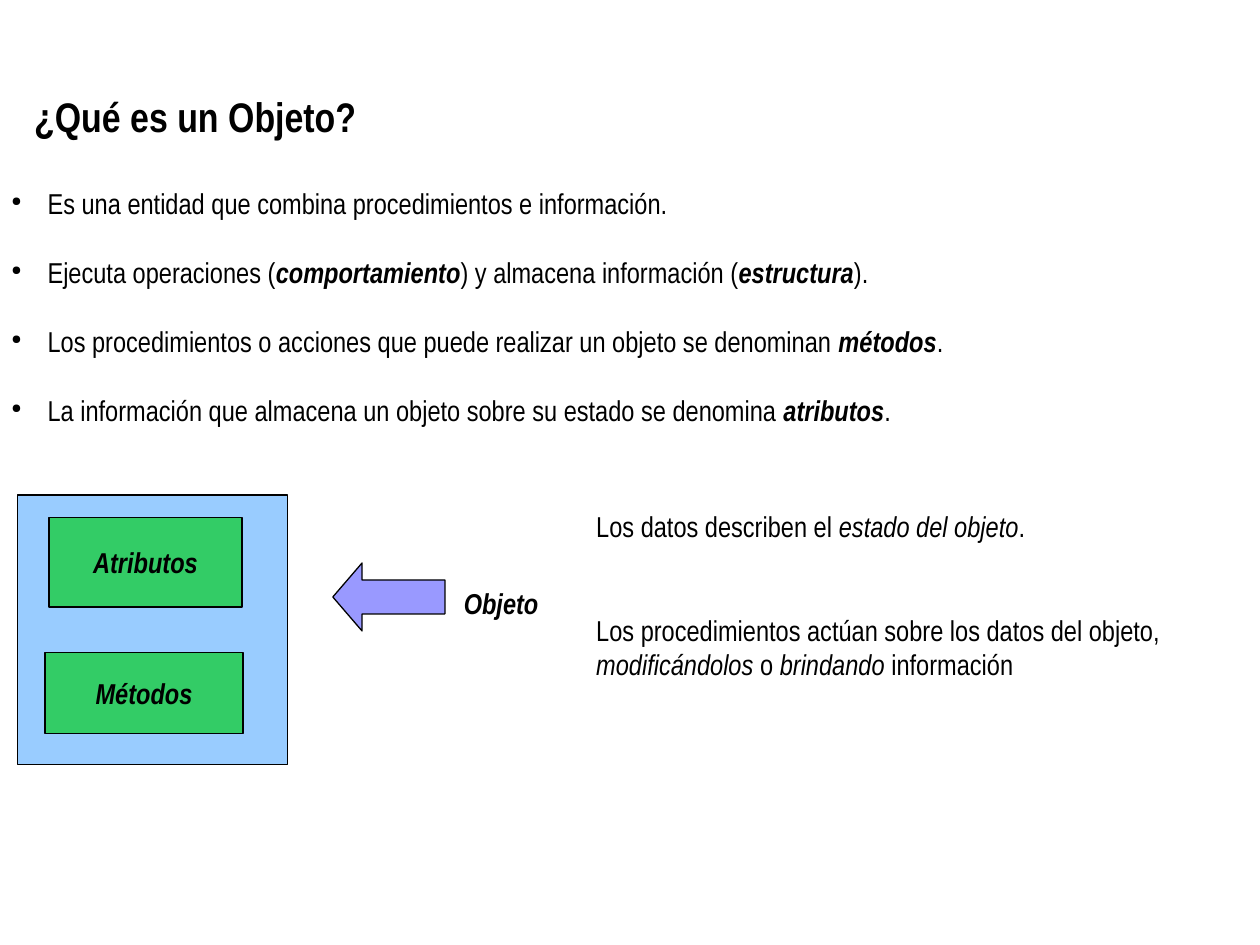
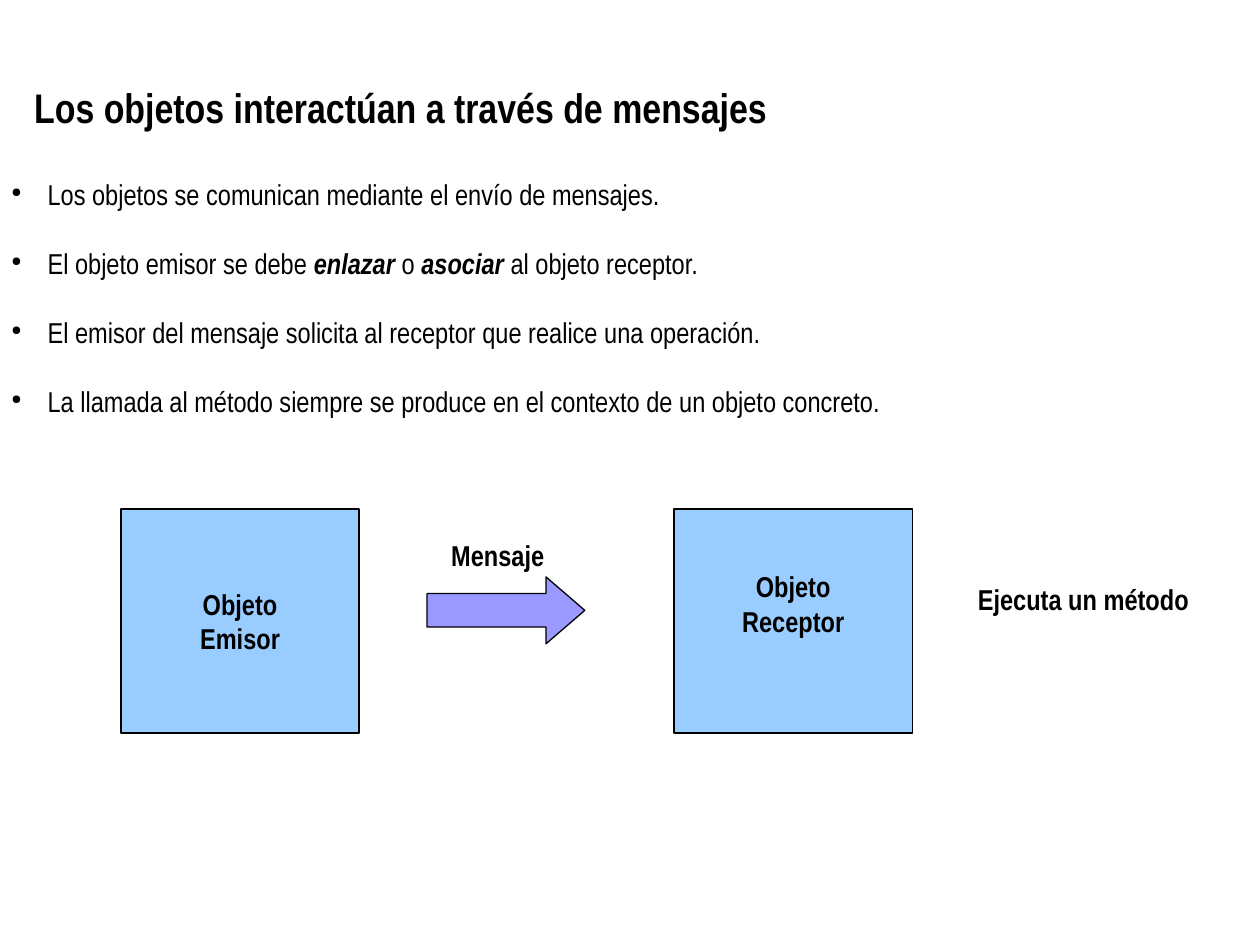
from lxml import etree
from pptx import Presentation
from pptx.dml.color import RGBColor
from pptx.enum.shapes import MSO_SHAPE
from pptx.enum.text import MSO_ANCHOR, PP_ALIGN
from pptx.oxml.ns import qn
from pptx.util import Cm, Pt

BLACK = RGBColor(0x00, 0x00, 0x00)
SKY = RGBColor(0x99, 0xCC, 0xFF)
GREEN = RGBColor(0x33, 0xCC, 0x66)
VIOLET = RGBColor(0x99, 0x99, 0xFF)
RECT, LEFT_ARROW, RIGHT_ARROW = MSO_SHAPE.RECTANGLE, MSO_SHAPE.LEFT_ARROW, MSO_SHAPE.RIGHT_ARROW
LEFT, CENTER = PP_ALIGN.LEFT, PP_ALIGN.CENTER
TOP, MIDDLE = MSO_ANCHOR.TOP, MSO_ANCHOR.MIDDLE
FONT = "Arial Narrow"
TITLE_SIZE, BODY_SIZE, LINE_PITCH = 23.6, 16.4, 19.7
LABEL_H = 0.89


def add_bullet(p):
    """Give a paragraph a small round bullet with a hanging indent."""
    pPr = p._p.get_or_add_pPr()
    pPr.set("marL", str(Cm(0.73)))
    pPr.set("indent", str(-Cm(0.73)))
    color = etree.SubElement(pPr, qn("a:buClr"))
    etree.SubElement(color, qn("a:srgbClr"), val=str(BLACK))
    etree.SubElement(pPr, qn("a:buSzPct"), val="45000")
    etree.SubElement(pPr, qn("a:buChar"), char="●")


def write(sp, paragraphs, size=BODY_SIZE, bold=False, italic=False, strong=True,
          align=LEFT, anchor=TOP, gap_lines=0, bullets=False, bottom=0.1):
    """Write paragraphs into a shape; parts between asterisks are emphasised."""
    tf = sp.text_frame
    tf.word_wrap = True
    tf.vertical_anchor = anchor
    tf.margin_left = tf.margin_right = Cm(0.23)
    tf.margin_top, tf.margin_bottom = Cm(0.1), Cm(bottom)
    for i, text in enumerate(paragraphs):
        p = tf.paragraphs[0] if i == 0 else tf.add_paragraph()
        p.alignment = align
        if i:
            p.space_before = Pt(gap_lines * LINE_PITCH)
        if bullets:
            add_bullet(p)
        for j, part in enumerate(text.split("*")):
            emphasised = j % 2 == 1
            r = p.add_run()
            r.text = part
            r.font.name, r.font.size = FONT, Pt(size)
            r.font.bold = bold or (emphasised and strong)
            r.font.italic = italic or emphasised
            r.font.color.rgb = BLACK


def add_text(s, x, y, w, h, paragraphs, **fmt):
    """Add a text box."""
    write(s.shapes.add_textbox(Cm(x), Cm(y), Cm(w), Cm(h)), paragraphs, **fmt)


def add_block(s, kind, x, y, w, h, fill):
    """Add a filled shape with a hairline outline."""
    sp = s.shapes.add_shape(kind, Cm(x), Cm(y), Cm(w), Cm(h))
    sp.shadow.inherit = False
    sp.fill.solid()
    sp.fill.fore_color.rgb = fill
    sp.line.color.rgb = BLACK
    sp.line.width = Pt(0)
    return sp


def add_arrow(s, kind, x, y, w, h, head):
    """Add a block arrow whose head length is a share of its height."""
    sp = add_block(s, kind, x, y, w, h, VIOLET)
    sp.adjustments[0], sp.adjustments[1] = 0.5, head


def add_header(s, y, title, points):
    """Add the slide title and the bullet list below it."""
    add_text(s, 0.46, y, 24.49, 1.19, [title], size=TITLE_SIZE, bold=True)
    add_text(s, 0, y + 1.91, 25.4, 4.93, points, gap_lines=1, bullets=True)


def draw_object(s, x, y):
    """Draw an object holding attributes and methods, with its label."""
    add_block(s, RECT, x, y, 5.44, 5.44, SKY)
    for name, dx, dy, w, h in (("Atributos", 0.63, 0.46, 3.89, 1.8),
                               ("Métodos", 0.55, 3.18, 3.99, 1.63)):
        sp = add_block(s, RECT, x + dx, y + dy, w, h, GREEN)
        write(sp, [name], bold=True, italic=True, align=CENTER, anchor=MIDDLE)
    add_arrow(s, LEFT_ARROW, x + 6.35, y + 1.37, 2.26, 1.37, 0.43)
    add_text(s, x + 8.76, y + 1.73, 3.02, LABEL_H, ["Objeto"], bold=True, italic=True)


def draw_message(s, x, y):
    """Draw a sender passing a message to a receiver that runs a method."""
    for role, dx, bottom in (("Emisor", 0, 0.1), ("Receptor", 11.15, 0.8)):
        sp = add_block(s, RECT, x + dx, y, 4.8, 4.52, SKY)
        write(sp, ["Objeto", role], bold=True, align=CENTER, anchor=MIDDLE, bottom=bottom)
    add_arrow(s, RIGHT_ARROW, x + 6.17, y + 1.37, 3.18, 1.35, 0.58)
    add_text(s, x + 5.84, y + 0.48, 3.51, LABEL_H, ["Mensaje"], bold=True, align=CENTER)
    add_text(s, x + 16.15, y + 1.37, 6.5, LABEL_H, ["Ejecuta un método"],
             bold=True, align=CENTER)


def object_slide(s):
    """Build the slide that defines an object."""
    add_header(s, 1.73, "¿Qué es un Objeto?", [
        "Es una entidad que combina procedimientos e información.",
        "Ejecuta operaciones (*comportamiento*) y almacena información (*estructura*).",
        "Los procedimientos o acciones que puede realizar un objeto se denominan *métodos*.",
        "La información que almacena un objeto sobre su estado se denomina *atributos*.",
    ])
    draw_object(s, 0.36, 9.98)
    add_text(s, 11.79, 10.16, 13.16, 4.09, [
        "Los datos describen el *estado del objeto*.",
        "Los procedimientos actúan sobre los datos del objeto, "
        "*modificándolos* o *brindando* información",
    ], strong=False, gap_lines=2)


def message_slide(s):
    """Build the slide on how objects interact."""
    add_header(s, 1.55, "Los objetos interactúan a través de mensajes", [
        "Los objetos se comunican mediante el envío de mensajes.",
        "El objeto emisor se debe *enlazar* o *asociar* al objeto receptor.",
        "El emisor del mensaje solicita al receptor que realice una operación.",
        "La llamada al método siempre se produce en el contexto de un objeto concreto.",
    ])
    draw_message(s, 2.44, 10.26)


def main():
    """Build and save the presentation."""
    prs = Presentation()
    prs.slide_width, prs.slide_height = Cm(25.4), Cm(19.05)
    for build in (object_slide, message_slide):
        build(prs.slides.add_slide(prs.slide_layouts[6]))
    prs.save("out.pptx")


if __name__ == "__main__":
    main()
